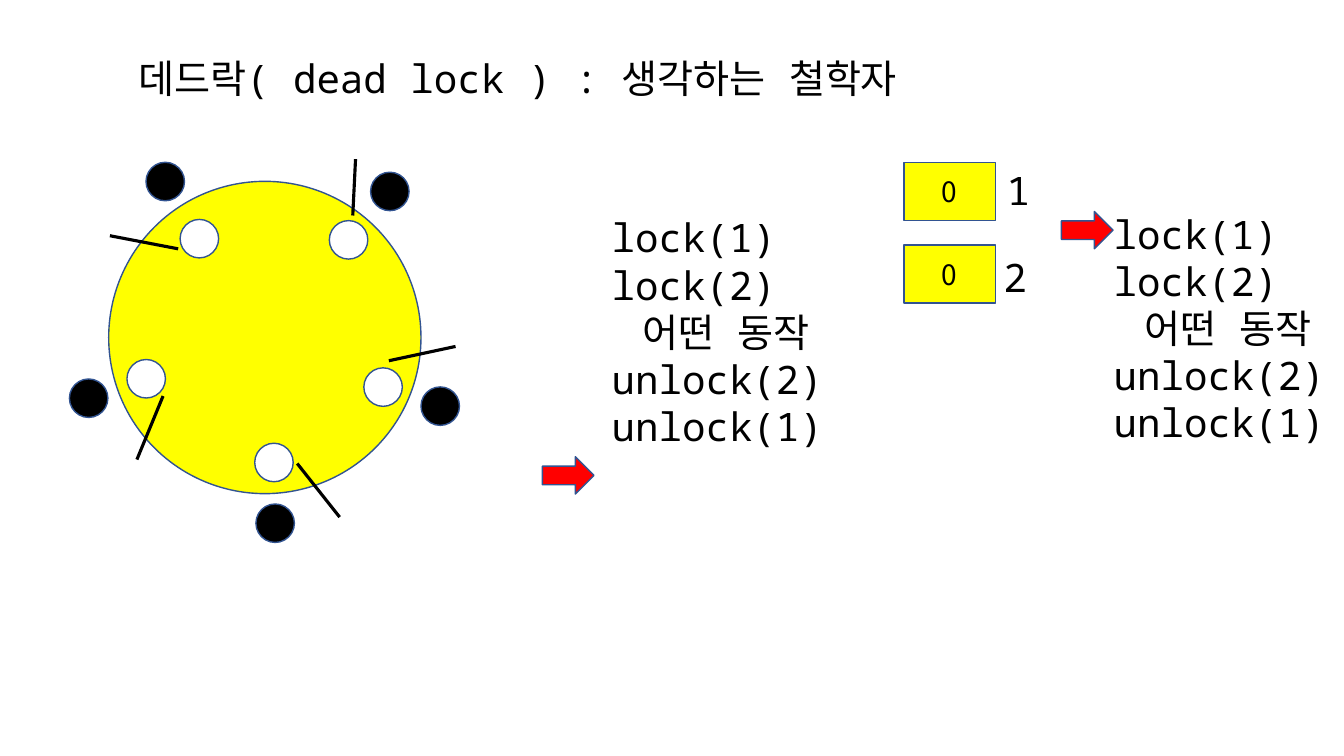
from lxml import etree
from pptx import Presentation
from pptx import util as u
from pptx.dml import color
from pptx.enum import shapes, text
from pptx.oxml import ns

COLOURS = {
    "ink": "000000",
    "paper": "FFFFFF",
    "yellow": "FFFF00",
    "red": "FF0000",
    "outline": "325491",
}
MONO = "Noto Sans Mono"
SANS = "Noto Sans CJK KR"
SEAT = 0.97
PHILOSOPHERS = [(4.7, 8.69), (8.86, 5.74), (7.59, 0.33), (1.93, 0.08), (0, 5.54)]
PLATES = [(6.55, 1.55), (2.79, 1.52), (1.45, 5.05), (4.67, 7.16), (7.42, 5.26)]
CHOPSTICKS = [
    (1.7, 7.57, 2.36, 5.97),
    (6.81, 9.02, 5.74, 7.67),
    (9.73, 4.72, 8.05, 5.08),
    (7.21, 0, 7.14, 1.42),
    (1.02, 1.93, 2.74, 2.26),
]
CODE = [("lock(1)", 0), ("lock(2)", 0), ("어떤 동작", 0.77), ("unlock(2)", 0), ("unlock(1)", 0)]


def rgb(name):
    return color.RGBColor.from_string(COLOURS[name])


def place(item, left, top, width, height):
    item.left, item.top = u.Cm(left), u.Cm(top)
    item.width, item.height = u.Cm(width), u.Cm(height)


def write(para, words, size=28, font=MONO, align=text.PP_ALIGN.LEFT, indent=0):
    para.alignment = align
    para.space_before = u.Pt(0)
    properties = para._p.get_or_add_pPr()
    properties.set("marL", str(u.Cm(indent)))
    properties.set("indent", "0")
    etree.SubElement(properties, ns.qn("a:buNone"))
    span = para.add_run()
    span.text = words
    span.font.size = u.Pt(size)
    span.font.name = font
    span.font.color.rgb = rgb("ink")
    east_asian = etree.SubElement(span._r.get_or_add_rPr(), ns.qn("a:ea"))
    east_asian.set("typeface", font)


def prepare(frame, anchor=text.MSO_ANCHOR.TOP):
    frame.word_wrap = False
    frame.auto_size = text.MSO_AUTO_SIZE.NONE
    frame.vertical_anchor = anchor


def draw(page, kind, left, top, width, height, fill):
    shape = page.shapes.add_shape(kind, u.Cm(left), u.Cm(top), u.Cm(width), u.Cm(height))
    shape.shadow.inherit = False
    shape.fill.solid()
    shape.fill.fore_color.rgb = rgb(fill)
    shape.line.color.rgb = rgb("outline")
    shape.line.width = u.Pt(1)
    return shape


def add_heading(page, left, top, width, height):
    title = page.shapes.title
    place(title, left, top, width, height)
    prepare(title.text_frame)
    write(title.text_frame.paragraphs[0], "데드락( dead lock ) : 생각하는 철학자")


def add_dining_table(page, left, top):
    oval = shapes.MSO_SHAPE.OVAL
    draw(page, oval, left + 0.99, top + 0.56, 7.87, 7.87, "yellow")
    for seats, fill in ((PHILOSOPHERS, "ink"), (PLATES, "paper")):
        for x, y in seats:
            draw(page, oval, left + x, top + y, SEAT, SEAT, fill)
    for x1, y1, x2, y2 in CHOPSTICKS:
        chopstick = page.shapes.add_connector(
            shapes.MSO_CONNECTOR.STRAIGHT,
            u.Cm(left + x1), u.Cm(top + y1), u.Cm(left + x2), u.Cm(top + y2))
        chopstick.line.color.rgb = rgb("ink")
        chopstick.line.width = u.Pt(2.25)
        etree.SubElement(chopstick._element.spPr, ns.qn("a:effectLst"))


def add_code(page, listing, left, top, width, height, arrow):
    place(listing, left, top, width, height)
    frame = listing.text_frame
    prepare(frame)
    for index, (words, indent) in enumerate(CODE):
        para = frame.add_paragraph() if index else frame.paragraphs[0]
        write(para, words, indent=indent)
    draw(page, shapes.MSO_SHAPE.RIGHT_ARROW, left + arrow[0], top + arrow[1], 1.3, 0.94, "red")


def add_locks(page, left, top, width, height):
    for index, label_left in enumerate((2.34, 2.26)):
        lock = draw(page, shapes.MSO_SHAPE.RECTANGLE, left, top + 2.08 * index,
                    width, height, "yellow")
        prepare(lock.text_frame, text.MSO_ANCHOR.MIDDLE)
        write(lock.text_frame.paragraphs[0], "0", size=20, font=SANS,
              align=text.PP_ALIGN.CENTER)
        label = page.shapes.add_textbox(
            u.Cm(left + label_left), u.Cm(top - 0.03 + 2.21 * index), u.Cm(1.07), u.Cm(1.45))
        prepare(label.text_frame)
        write(label.text_frame.paragraphs[0], str(index + 1))


def main():
    deck = Presentation()
    deck.slide_width, deck.slide_height = u.Cm(33.87), u.Cm(19.05)
    page = deck.slides.add_slide(deck.slide_layouts.get_by_name("Two Content"))
    first, second = page.placeholders[1], page.placeholders[2]
    for holder in list(page.placeholders):
        if holder.placeholder_format.idx > 2:
            holder._element.getparent().remove(holder._element)
    add_heading(page, 3.23, 1.24, 19.79, 1.45)
    add_dining_table(page, 1.75, 4.01)
    add_code(page, first, 15.16, 5.26, 6.71, 6.25, arrow=(-1.49, 6.25))
    add_code(page, second, 27.81, 5.16, 6.71, 6.25, arrow=(-1.06, 0.17))
    add_locks(page, 22.78, 4.09, 2.31, 1.47)
    deck.save("out.pptx")


if __name__ == "__main__":
    main()
